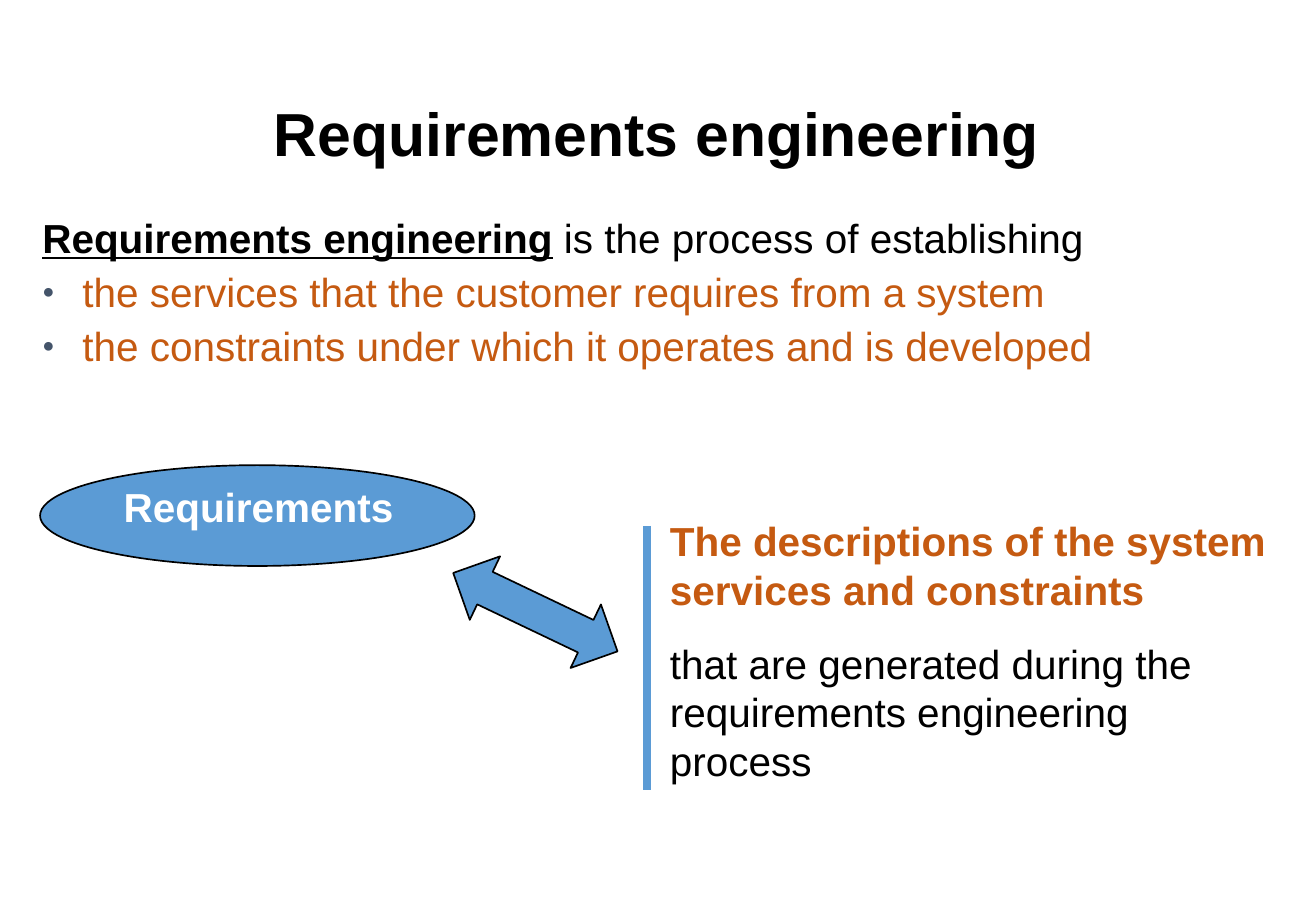
from lxml import etree
from pptx import Presentation
from pptx.dml.color import RGBColor
from pptx.enum.shapes import MSO_CONNECTOR as Connector, MSO_SHAPE as Shape
from pptx.enum.text import MSO_ANCHOR as Anchor, PP_ALIGN as Align
from pptx.oxml.ns import qn
from pptx.util import Emu, Pt

EMU_PER_PX = 9144  # 100 px to the inch
BLACK, WHITE, BLUE, ORANGE, SLATE = "000000", "FFFFFF", "5B9BD5", "C55A11", "44546A"
BULLET_INDENT = 33


def px(length):
    return Emu(length * EMU_PER_PX)


def rgb(hex_colour):
    return RGBColor.from_string(hex_colour)


def add_text_frame(slide, left, top, width, height, anchor=Anchor.TOP):
    frame = slide.shapes.add_textbox(px(left), px(top), px(width), px(height)).text_frame
    frame.word_wrap = True
    frame.vertical_anchor = anchor
    return frame


def add_paragraph(frame, text, colour=BLACK, size=24, bold=None,
                  before=0, spacing=1.0, align=Align.LEFT):
    """Fill the frame's first paragraph, or append one once that has text."""
    paragraph = frame.paragraphs[0] if not frame.text else frame.add_paragraph()
    paragraph.add_run().text = text
    paragraph.alignment = align
    paragraph.space_before = Pt(before)
    paragraph.line_spacing = spacing
    font = paragraph.font
    font.name, font.size, font.bold = "Arial", Pt(size), bold
    font.color.rgb = rgb(colour)
    return paragraph


def add_bullet(paragraph):
    properties = paragraph._p.get_or_add_pPr()
    indent = px(BULLET_INDENT)
    properties.set("marL", str(indent))
    properties.set("indent", str(-indent))
    marks = [
        etree.Element(qn("a:buClr")),
        etree.Element(qn("a:buSzPct"), val="50000"),
        etree.Element(qn("a:buFont"), typeface="Arial"),
        etree.Element(qn("a:buChar"), char="●"),
    ]
    etree.SubElement(marks[0], qn("a:srgbClr"), val=SLATE)
    default_font = properties.find(qn("a:defRPr"))
    for mark in marks:
        default_font.addprevious(mark)


def add_blue_shape(slide, kind, left, top, width, height):
    shape = slide.shapes.add_shape(kind, px(left), px(top), px(width), px(height))
    shape.shadow.inherit = False
    shape.fill.solid()
    shape.fill.fore_color.rgb = rgb(BLUE)
    shape.line.color.rgb = rgb(BLACK)
    shape.line.width = Pt(1)
    return shape


def add_vertical_rule(slide, x, top, bottom):
    rule = slide.shapes.add_connector(Connector.STRAIGHT, px(x), px(top), px(x), px(bottom))
    rule.line.color.rgb = rgb(BLUE)
    rule.line.width = Pt(4.5)
    etree.SubElement(rule._element.spPr, qn("a:effectLst"))


def add_definition(slide):
    definition = add_text_frame(slide, 25, 175, 1025, 135)
    intro = add_paragraph(definition, "Requirements engineering", before=6, spacing=0.9)
    term = intro.runs[0].font
    term.bold = term.underline = True
    intro.add_run().text = " is the process of establishing"
    for goal in ("the services that the customer requires from a system",
                 "the constraints under which it operates and is developed"):
        add_bullet(add_paragraph(definition, goal, ORANGE, before=6, spacing=0.9))


def add_requirements_diagram(slide):
    add_blue_shape(slide, Shape.OVAL, 33, 383, 358, 83)
    label = add_text_frame(slide, 92, 392, 274, 50)
    add_paragraph(label, "Requirements", WHITE, bold=True, before=15)

    arrow = add_blue_shape(slide, Shape.UP_DOWN_ARROW, 412, 429, 58, 150)
    arrow.adjustments[0] = 0.5
    arrow.adjustments[1] = 0.51
    arrow.rotation = 295.5

    meaning = add_text_frame(slide, 542, 420, 517, 231)
    add_paragraph(meaning, "The descriptions of the system services and constraints",
                  ORANGE, bold=True, before=15)
    add_paragraph(meaning, "that are generated during the requirements engineering process",
                  before=15)
    add_vertical_rule(slide, 533, 433, 650)


def main():
    presentation = Presentation()
    presentation.slide_width, presentation.slide_height = px(1084), px(750)
    slide = presentation.slides.add_slide(presentation.slide_layouts[6])
    title = add_text_frame(slide, 74, 40, 934, 145, Anchor.MIDDLE)
    add_paragraph(title, "Requirements engineering", size=36, bold=True,
                  spacing=0.9, align=Align.CENTER)
    add_definition(slide)
    add_requirements_diagram(slide)
    presentation.save("out.pptx")


if __name__ == "__main__":
    main()
